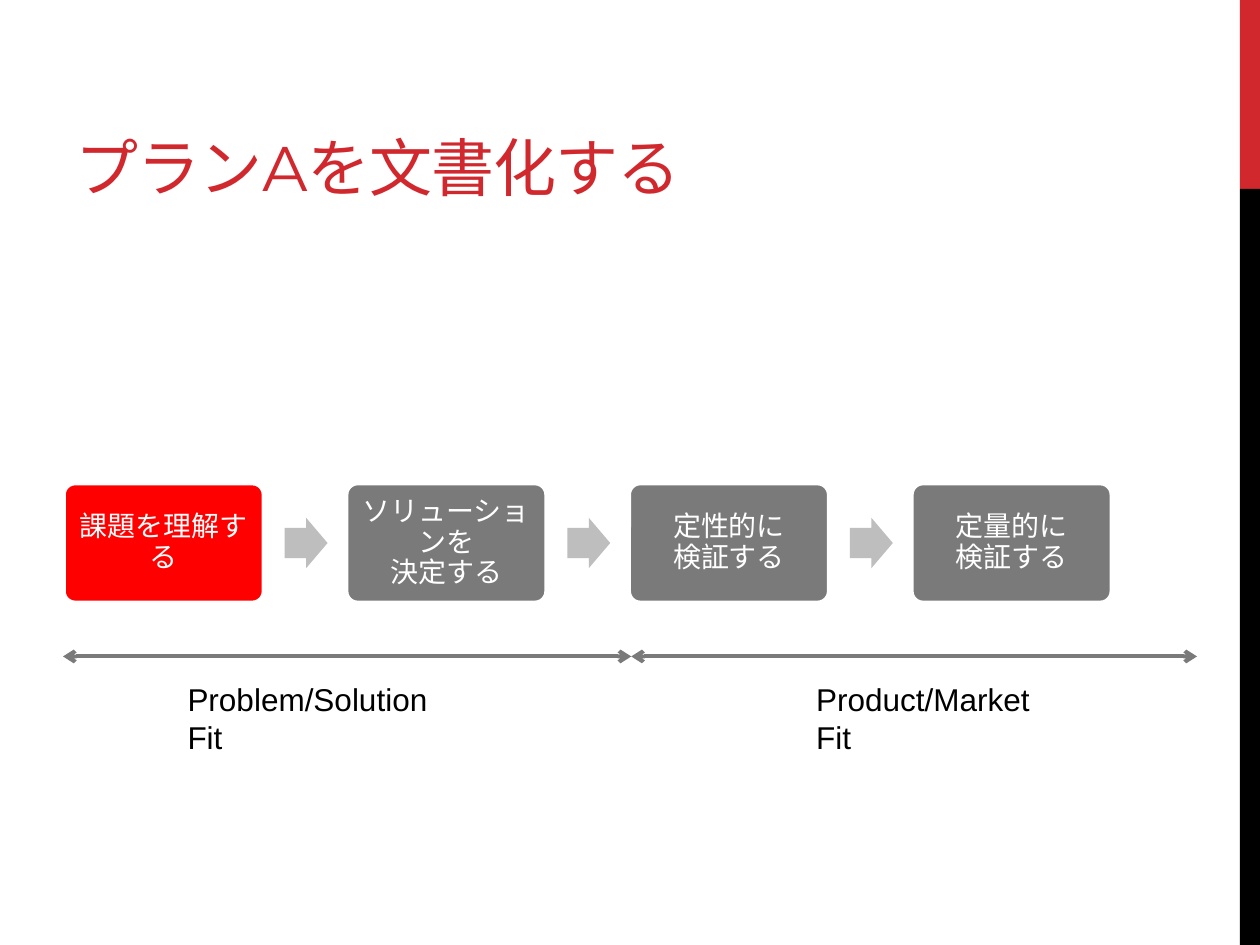
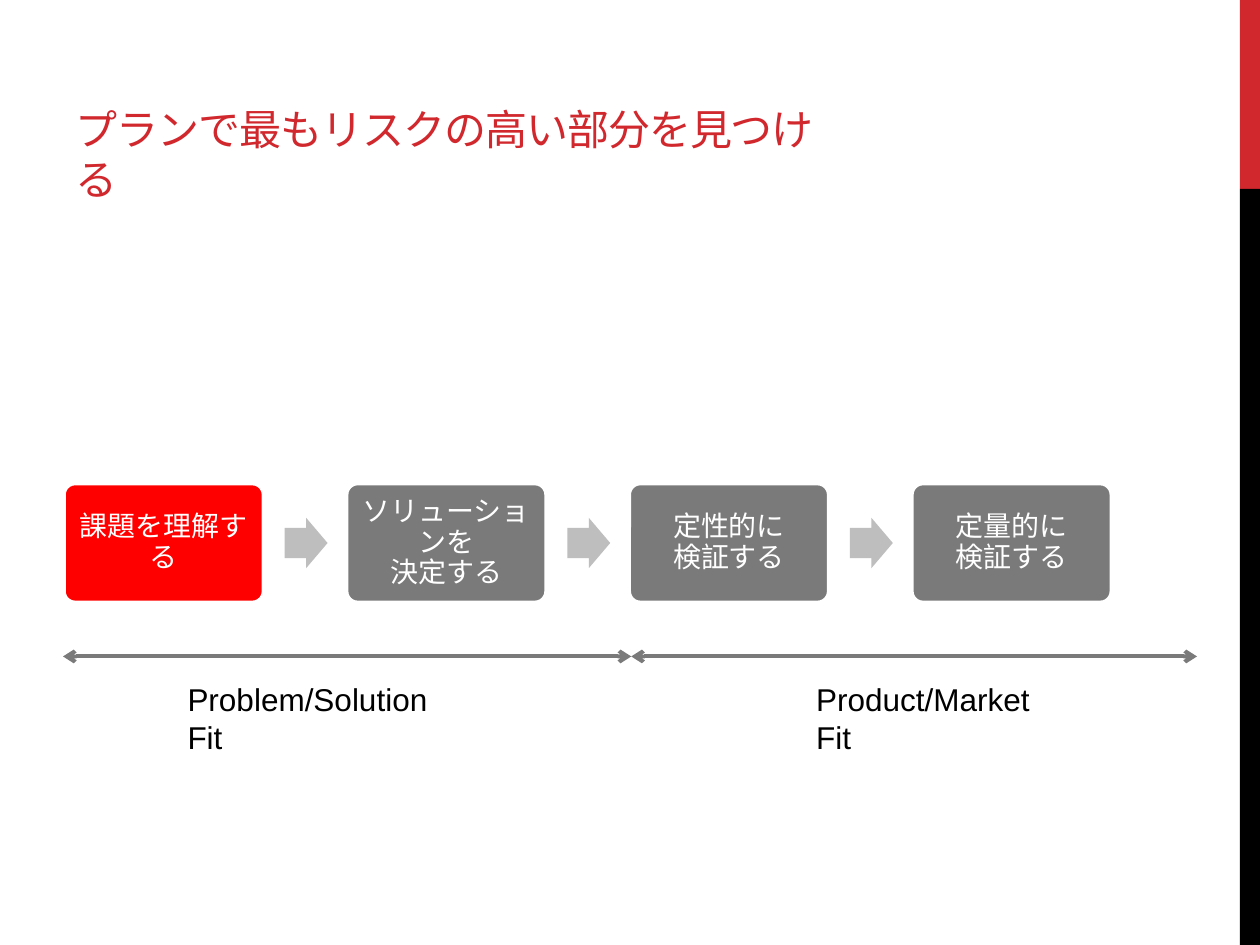
from dataclasses import dataclass

from lxml.etree import SubElement as Sub
from pptx import Presentation
from pptx.dml.color import RGBColor as RGB
from pptx.enum.shapes import MSO_CONNECTOR as Conn, MSO_SHAPE as Shape
from pptx.enum.text import MSO_ANCHOR as Anchor, PP_ALIGN as Align
from pptx.oxml.ns import qn
from pptx.util import Inches, Pt

# Content: title and its size, then the process common to both slides
TITLES = [("プランAを文書化する", 36), ("プランで最もリスクの高い部分を見つける", 24)]
STEPS = [
    ["課題を理解する"],
    ["ソリューションを", "決定する"],
    ["定性的に", "検証する"],
    ["定量的に", "検証する"],
]
ACTIVE = 0
# Phase: label, span start and end, label left and width
PHASES = [
    ("Problem/Solution Fit", 0.5, 5.01, 1.39, 2.33),
    ("Product/Market Fit", 5.01, 9.5, 6.38, 2.17),
]


@dataclass(frozen=True)
class Theme:
    red: str = "D1282E"
    black: str = "000000"
    white: str = "FFFFFF"
    hot: str = "FF0000"
    grey: str = "7A7A7A"
    pale: str = "BEBEBE"
    head: str = "Montserrat"
    body: str = "Arial"
    step: int = 16
    label: int = 18
    edge: float = 3.25
    rule: float = 2.25


T = Theme()

# Layout in inches
LEFT, TOP, PITCH = 0.5, 3.83, 2.243
STEP_W, STEP_H = 1.6, 0.96
ARROW_W, ARROW_H, ARROW_GAP = 0.34, 0.4, 0.16
SPAN_Y, LABEL_Y = 5.21, 5.35
BAND_X, BAND_W = 9.84, 0.16
BANDS = [(0, 1.5, T.red), (1.5, 6, T.black)]


def add_shape(slide, kind, box, fill, edge=None):
    shape = slide.shapes.add_shape(kind, *map(Inches, box))
    shape.shadow.inherit = False
    shape.fill.solid()
    shape.fill.fore_color.rgb = RGB.from_string(fill)
    if edge:
        shape.line.color.rgb = RGB.from_string(edge)
        shape.line.width = Pt(T.edge)
    else:
        shape.line.fill.background()
    return shape


def write(para, lines, font, size, color):
    for i, line in enumerate(lines):
        if i:
            para.add_line_break()
        run = para.add_run()
        run.text = line
        run.font.name, run.font.size = font, Pt(size)
        run.font.color.rgb = RGB.from_string(color)
    return run


def add_text(slide, box, text, font, size, color, anchor=Anchor.TOP):
    frame = slide.shapes.add_textbox(*map(Inches, box)).text_frame
    frame.word_wrap = True
    frame.vertical_anchor = anchor
    return write(frame.paragraphs[0], [text], font, size, color)


def add_frame(slide, title, size):
    # Side bands and title
    for top, high, color in BANDS:
        add_shape(slide, Shape.RECTANGLE, (BAND_X, top, BAND_W, high), color)
    run = add_text(slide, (0.5, 0.17, 6.33, 1.5), title, T.head, size,
                   T.red, Anchor.BOTTOM)
    run.font._element.set("spc", "-60")


def add_step(slide, i, lines):
    x = LEFT + i * PITCH
    fill = T.hot if i == ACTIVE else T.grey
    card = add_shape(slide, Shape.ROUNDED_RECTANGLE,
                     (x, TOP, STEP_W, STEP_H), fill, T.white)
    card.adjustments[0] = 0.1
    frame = card.text_frame
    frame.word_wrap = True
    frame.vertical_anchor = Anchor.MIDDLE
    frame.margin_left = frame.margin_right = Inches(0.07)
    frame.margin_top = frame.margin_bottom = Inches(0.07)
    para = frame.paragraphs[0]
    para.alignment, para.line_spacing = Align.CENTER, 0.9
    write(para, lines, T.body, T.step, T.white)

    # Arrow to the next step
    if i < len(STEPS) - 1:
        box = (x + STEP_W + ARROW_GAP, TOP + (STEP_H - ARROW_H) / 2,
               ARROW_W, ARROW_H)
        arrow = add_shape(slide, Shape.RIGHT_ARROW, box, T.pale)
        arrow.adjustments[0] = 0.6
        arrow.adjustments[1] = 0.5


def add_phase(slide, label, start, end, left, wide):
    add_text(slide, (left, LABEL_Y, wide, 0.4), label, T.body, T.label, T.black)
    span = slide.shapes.add_connector(
        Conn.STRAIGHT, *map(Inches, (start, SPAN_Y, end, SPAN_Y)))
    span.line.color.rgb = RGB.from_string(T.grey)
    span.line.width = Pt(T.rule)
    line = span.line._get_or_add_ln()
    for tip in ("a:headEnd", "a:tailEnd"):
        Sub(line, qn(tip), type="arrow")
    Sub(span._element.spPr, qn("a:effectLst"))


def main():
    deck = Presentation()
    deck.slide_width, deck.slide_height = Inches(10), Inches(7.5)
    for title, size in TITLES:
        slide = deck.slides.add_slide(deck.slide_layouts[6])
        add_frame(slide, title, size)
        for i, lines in enumerate(STEPS):
            add_step(slide, i, lines)
        for phase in PHASES:
            add_phase(slide, *phase)
    deck.save("out.pptx")


if __name__ == "__main__":
    main()
